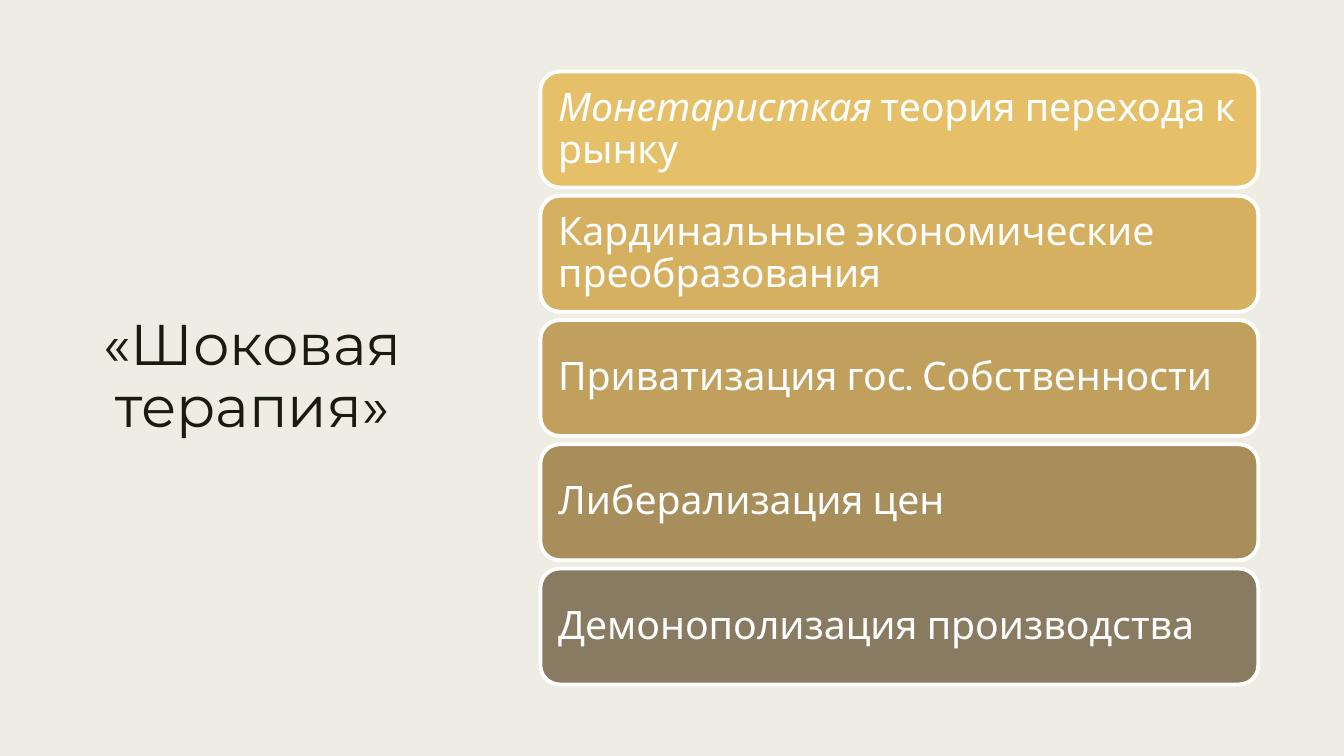
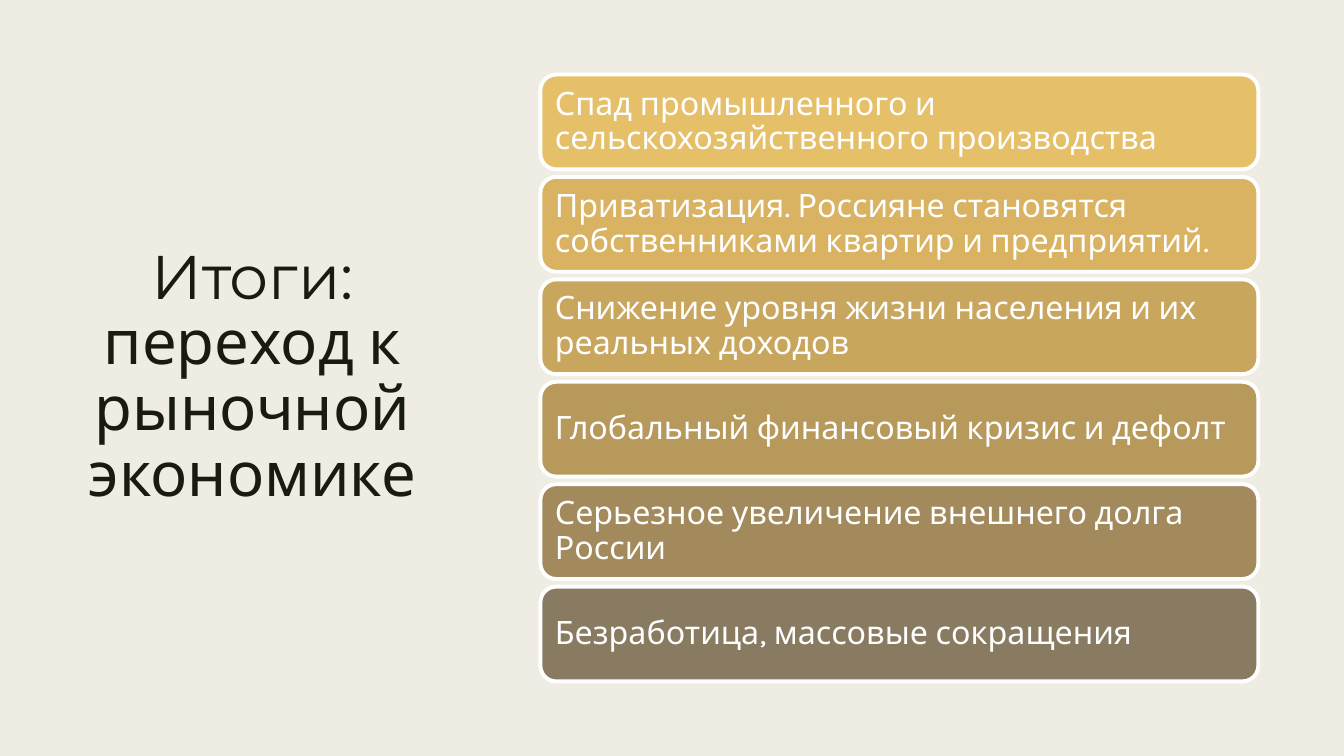
"""Two slides on the Russian market transition, each a title beside a stack of bars."""
from pptx import Presentation
from pptx.dml.color import RGBColor
from pptx.enum.shapes import MSO_SHAPE as SHAPE
from pptx.enum.text import MSO_ANCHOR as ANCHOR, MSO_AUTO_SIZE as AUTOSIZE, PP_ALIGN as ALIGN
from pptx.util import Emu, Pt

COLORS = {"bg": "EFEDE3", "ink": "191B0E", "white": "FFFFFF"}
HEAD, BODY = "Montserrat", "Karla"
WIDTH, HEIGHT = 1333, 750
TITLE_BOX = (70, 70, 361, 610)
BAR_LEFT, BAR_WIDTH = 536, 712

SHOCK = [
    ([("Монетаристкая ", {"italic": True}), ("теория перехода к рынку", {})], "E6C069"),
    ([("Кардинальные экономические преобразования", {})], "D5B061"),
    ([("Приватизация гос. Собственности", {})], "C0A05C"),
    ([("Либерализация цен", {})], "A88E5B"),
    ([("Демонополизация производства", {})], "897B61"),
]
RESULTS = [
    ([("Спад промышленного и сельскохозяйственного производства", {})], "E6C069"),
    ([("Приватизация. Россияне становятся собственниками квартир и предприятий.", {})], "D9B362"),
    ([("Снижение уровня жизни населения и их реальных доходов", {})], "C9A65E"),
    ([("Глобальный финансовый кризис и дефолт", {})], "B7995B"),
    ([("Серьезное увеличение внешнего долга России", {})], "A38A5C"),
    ([("Безработица, массовые сокращения", {})], "897B61"),
]


def px(n):
    return Emu(round(n * 9144))


def rgb(value):
    return RGBColor.from_string(value)


def write(tf, runs, size, font, color, align, spacing):
    tf.word_wrap = True
    tf.auto_size = AUTOSIZE.NONE
    tf.vertical_anchor = ANCHOR.MIDDLE
    p = tf.paragraphs[0]
    p.alignment = align
    p.line_spacing = spacing
    p.font.size = Pt(size)
    p.font.name = font
    p.font.color.rgb = rgb(COLORS[color])
    for text, style in runs:
        r = p.add_run()
        r.text = text
        for name, value in style.items():
            setattr(r.font, name, value)


def add_title_slide(prs, runs, size):
    s = prs.slides.add_slide(prs.slide_layouts[5])
    title = s.shapes.title
    title.left, title.top, title.width, title.height = map(px, TITLE_BOX)
    write(title.text_frame, runs, size, HEAD, "ink", ALIGN.CENTER, 0.89)
    return s


def add_bar(s, top, height, runs, fill, size, inset):
    sp = s.shapes.add_shape(SHAPE.ROUNDED_RECTANGLE, px(BAR_LEFT), px(top), px(BAR_WIDTH), px(height))
    sp.shadow.inherit = False
    sp.fill.solid()
    sp.fill.fore_color.rgb = rgb(fill)
    sp.line.color.rgb = rgb(COLORS["white"])
    sp.line.width = Pt(2.75)
    tf = sp.text_frame
    tf.margin_left = tf.margin_right = tf.margin_top = tf.margin_bottom = px(inset)
    write(tf, runs, size, BODY, "white", ALIGN.LEFT, 0.9)


def add_bars(s, bars, top, height, size, inset):
    pitch = (HEIGHT - 2 * top - height) / (len(bars) - 1)
    for i, (runs, fill) in enumerate(bars):
        add_bar(s, top + i * pitch, height, runs, fill, size, inset)


def main():
    prs = Presentation()
    prs.slide_width, prs.slide_height = px(WIDTH), px(HEIGHT)
    background = prs.slide_master.background.fill
    background.solid()
    background.fore_color.rgb = rgb(COLORS["bg"])

    s = add_title_slide(prs, [("«Шоковая терапия»", {})], 41)
    add_bars(s, SHOCK, top=71, height=115, size=28, inset=12)

    s = add_title_slide(prs, [("Итоги: ", {}), ("переход к рыночной экономике", {"name": BODY})], 44)
    add_bars(s, RESULTS, top=74, height=94, size=23, inset=10)

    prs.save("out.pptx")


if __name__ == "__main__":
    main()
